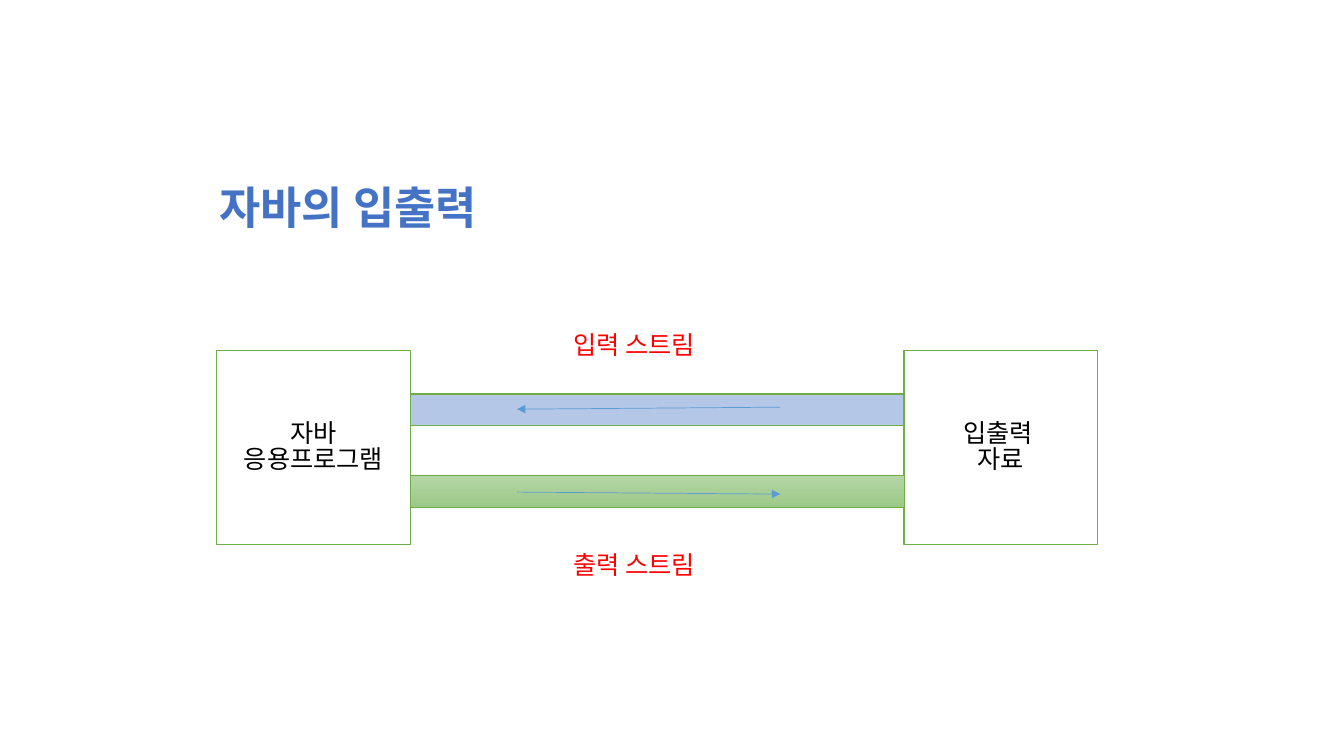
import pptx
import pptx.util
import pptx.dml.color
import pptx.enum.shapes
import pptx.enum.text
import pptx.oxml.ns
from lxml import etree

Cm, Pt = pptx.util.Cm, pptx.util.Pt
RGB = pptx.dml.color.RGBColor.from_string
qn = pptx.oxml.ns.qn
PP_ALIGN = pptx.enum.text.PP_ALIGN
RECT = pptx.enum.shapes.MSO_SHAPE.RECTANGLE
FONT = "Noto Sans CJK KR"
COLORS = {
    "title": "4472C4", "label": "FF0000", "text": "000000",
    "box": "FFFFFF", "border": "70AD47", "input": "B4C7E7",
    "output_top": "B5D5A7", "output_bottom": "9CC987", "arrow": "5B9BD5",
}


def write(sp, lines, color, align, wrap=True, spacing=None, **font):
    """Fill a shape with one formatted paragraph per line."""
    tf = sp.text_frame
    frame = {"word_wrap": wrap, "auto_size": pptx.enum.text.MSO_AUTO_SIZE.NONE,
             "vertical_anchor": pptx.enum.text.MSO_ANCHOR.MIDDLE}
    for name, value in frame.items():
        setattr(tf, name, value)
    for i, line in enumerate(lines):
        p = tf.paragraphs[0] if i == 0 else tf.add_paragraph()
        p.alignment = align
        p.line_spacing = spacing
        r = p.add_run()
        r.text = line
        for name, value in {"name": FONT, **font}.items():
            setattr(r.font, name, value)
        r.font.color.rgb = RGB(COLORS[color])
        etree.SubElement(r.font._element, qn("a:ea"), typeface=FONT)


def add_rect(x, y, w, h, line_width):
    """Add a green-bordered rectangle without a shadow."""
    sp = s.shapes.add_shape(RECT, Cm(x), Cm(y), Cm(w), Cm(h))
    sp.shadow.inherit = False
    sp.line.color.rgb = RGB(COLORS["border"])
    sp.line.width = Pt(line_width)
    return sp


prs = pptx.Presentation()
prs.slide_width, prs.slide_height = Cm(33.87), Cm(19.05)
s = prs.slides.add_slide(prs.slide_layouts[5])

# Title
title = s.shapes.title
place = {"left": 4.9, "top": 4.4, "width": 7.75, "height": 1.63}
for name, value in place.items():
    setattr(title, name, Cm(value))
write(title, ["자바의 입출력"], "title", PP_ALIGN.CENTER, wrap=False,
      size=Pt(32), bold=True)

# Program and data boxes
side, left, right, top = 4.88, 5.46, 22.78, 8.84
for x, lines in [(left, ["자바", "응용프로그램"]), (right, ["입출력 ", "자료"])]:
    sp = add_rect(x, top, side, side, 1)
    sp.fill.solid()
    sp.fill.fore_color.rgb = RGB(COLORS["box"])
    write(sp, lines, "text", PP_ALIGN.CENTER, spacing=0.85, size=Pt(18))

# Stream bars between the boxes
bar_x, bar_w, bar_h = left + side, right - left - side, 0.79
input_bar = add_rect(bar_x, 9.93, bar_w, bar_h, 1)
input_bar.fill.solid()
input_bar.fill.fore_color.rgb = RGB(COLORS["input"])

output_bar = add_rect(bar_x, 11.99, bar_w, bar_h, 0.5)
output_bar.fill.gradient()
output_bar.fill.gradient_angle = 270
for stop, name in zip(output_bar.fill.gradient_stops,
                      ["output_top", "output_bottom"]):
    stop.color.rgb = RGB(COLORS[name])

# Flow arrows: output to the right, input to the left
for x1, x2, y in [(13.03, 19.66, 12.4), (19.66, 13.03, 10.26)]:
    arrow = s.shapes.add_connector(pptx.enum.shapes.MSO_CONNECTOR.STRAIGHT,
                                   Cm(x1), Cm(y), Cm(x2), Cm(y + 0.05))
    arrow.line.color.rgb = RGB(COLORS["arrow"])
    arrow.line.width = Pt(0.5)
    etree.SubElement(arrow.line._get_or_add_ln(), qn("a:tailEnd"), type="triangle")
    etree.SubElement(arrow._element.spPr, qn("a:effectLst"))

# Stream labels
for y, text in [(13.72, "출력 스트림"), (8.18, "입력 스트림")]:
    sp = s.shapes.add_textbox(Cm(14.2), Cm(y), Cm(4.7), Cm(1.02))
    write(sp, [text], "label", PP_ALIGN.LEFT, size=Pt(18))

prs.save("out.pptx")
